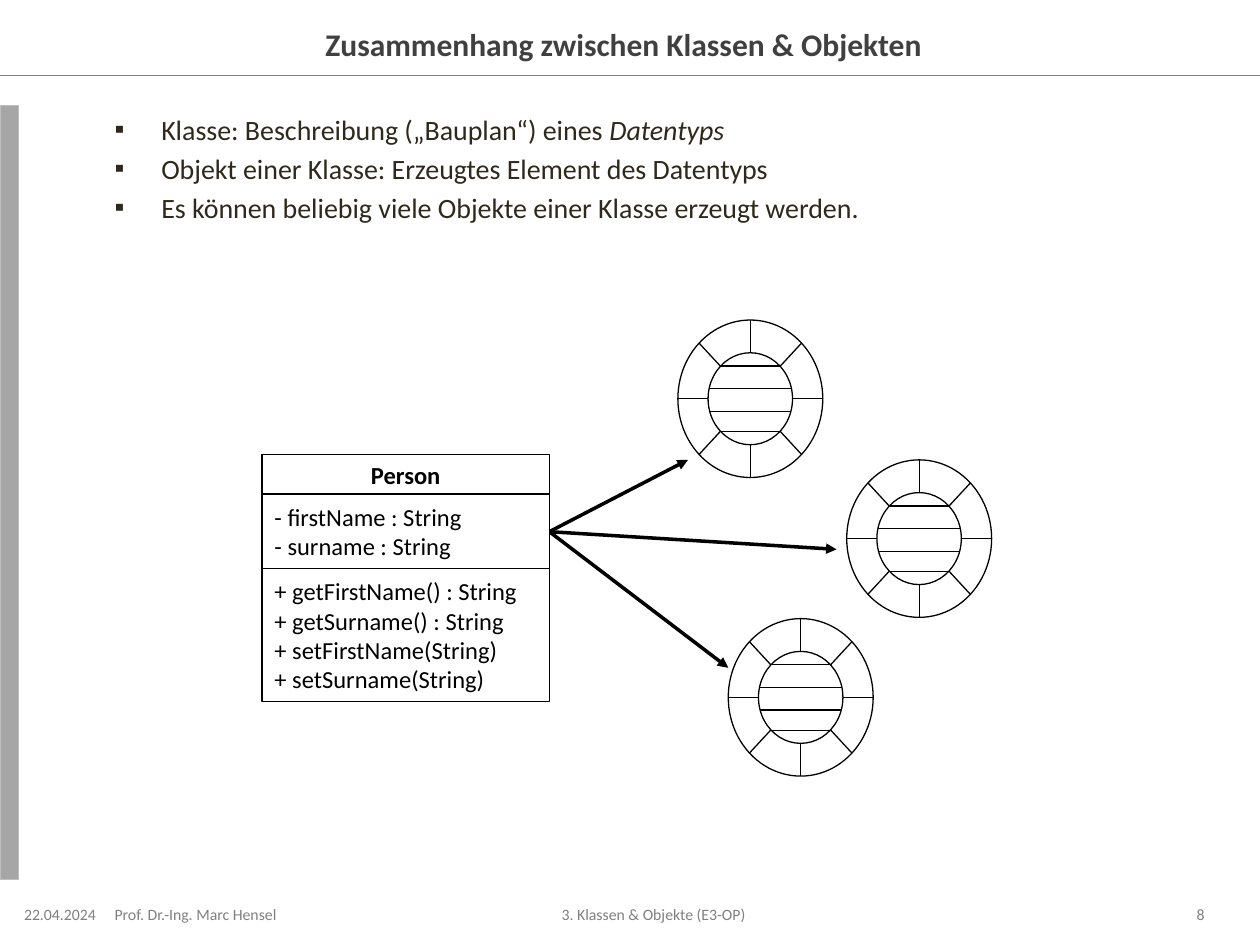
from dataclasses import dataclass
from math import cos, pi, sin, sqrt

from lxml import etree
from pptx import Presentation
from pptx.dml.color import RGBColor
from pptx.enum import shapes as kinds, text as txt
from pptx.oxml.ns import qn
from pptx.util import Inches, Pt

ALIGN = txt.PP_ALIGN
SHAPE = kinds.MSO_SHAPE


@dataclass(frozen=True)
class Theme:
    font: str = "Calibri"
    ink: str = "000000"
    paper: str = "FFFFFF"
    title: str = "404040"
    body: str = "2F291D"
    muted: str = "808080"
    bar: str = "A6A6A6"
    edge: str = "BFBFBF"
    head_pt: int = 18
    body_pt: int = 16
    code_pt: int = 14
    foot_pt: int = 9
    thin: float = 0.75
    bold: float = 2


THEME = Theme()


def rgb(code):
    return RGBColor.from_string(code)


def place(item, box):
    item.left, item.top, item.width, item.height = map(Inches, box)


def style(para, size, color, bold=False, align=ALIGN.LEFT):
    para.alignment = align
    font = para.font
    font.name, font.size, font.bold = THEME.font, Pt(size), bold
    font.color.rgb = rgb(color)


def setup(frame, left=0, right=0.1, anchor=txt.MSO_ANCHOR.MIDDLE):
    frame.word_wrap = True
    frame.auto_size = txt.MSO_AUTO_SIZE.NONE
    frame.vertical_anchor = anchor
    frame.margin_left, frame.margin_right = Inches(left), Inches(right)
    frame.margin_top = frame.margin_bottom = Inches(0.05)


def add_line(parent, start, end, color=THEME.ink, width=THEME.thin, arrow=False):
    line = parent.add_connector(
        kinds.MSO_CONNECTOR.STRAIGHT, *map(Inches, (*start, *end)))
    line.line.color.rgb = rgb(color)
    line.line.width = Pt(width)
    if arrow:
        etree.SubElement(line.line._get_or_add_ln(), qn("a:tailEnd"), type="triangle")
    etree.SubElement(line._element.spPr, qn("a:effectLst"))


def add_form(parent, kind, box, fill=None, edge=THEME.ink):
    form = parent.add_shape(kind, *map(Inches, box))
    form.shadow.inherit = False
    if fill:
        form.fill.solid()
        form.fill.fore_color.rgb = rgb(fill)
    else:
        form.fill.background()
    form.line.color.rgb = rgb(edge)
    form.line.width = Pt(THEME.thin)
    return form


def add_frame(parent):
    add_line(parent, (0, 0.6), (10, 0.6), THEME.muted)
    add_form(parent, SHAPE.RECTANGLE, (0, 0.84, 0.15, 6.14), THEME.bar, THEME.edge)


def add_title(item, box, words):
    place(item, box)
    setup(item.text_frame)
    item.text_frame.text = words
    style(item.text_frame.paragraphs[0], THEME.head_pt, THEME.title, True, ALIGN.CENTER)


def add_list(item, box, rows):
    place(item, box)
    frame = item.text_frame
    setup(frame, anchor=txt.MSO_ANCHOR.TOP)
    for i, (plain, slant) in enumerate(rows):
        para = frame.add_paragraph() if i else frame.paragraphs[0]
        para.add_run().text = plain
        if slant:
            run = para.add_run()
            run.text, run.font.italic = slant, True
        props = para._p.get_or_add_pPr()
        indent = Inches(0.37)
        props.set("marL", str(indent))
        props.set("indent", str(-indent))
        etree.SubElement(props, qn("a:buFont"), typeface="Wingdings")
        etree.SubElement(props, qn("a:buChar"), char="▪")
        props.find(qn("a:buFont")).set("typeface", "Arial")
        style(para, THEME.body_pt, THEME.body)


def add_foot(parent, top):
    parts = [
        ("22.04.2024", 0.15, 0.75, ALIGN.CENTER, 0, 0.1),
        ("Prof. Dr.-Ing. Marc Hensel", 0.91, 1.5, ALIGN.LEFT, 0, 0.1),
        ("3. Klassen & Objekte (E3-OP)", 2.48, 5.51, ALIGN.CENTER, 0, 0.1),
        ("8", 8.92, 0.64, ALIGN.RIGHT, 0.1, 0),
    ]
    for words, left, width, align, pad_l, pad_r in parts:
        note = parent.add_textbox(*map(Inches, (left, top, width, 0.15)))
        setup(note.text_frame, pad_l, pad_r)
        note.text_frame.text = words
        style(note.text_frame.paragraphs[0], THEME.foot_pt, THEME.muted, align=align)


def add_ring(parent, box):
    group = parent.add_group_shape().shapes
    left, top, width, height = box
    mid_x, mid_y = left + width / 2, top + height / 2
    outer, inner = (width / 2, height / 2), (0.335, 0.365)
    for rx, ry in (outer, inner):
        add_form(group, SHAPE.OVAL, (mid_x - rx, mid_y - ry, 2 * rx, 2 * ry))
    for gap in (-0.26, -0.08, 0.1, 0.26):
        half = inner[0] * sqrt(1 - (gap / inner[1]) ** 2)
        add_line(group, (mid_x - half, mid_y + gap), (mid_x + half, mid_y + gap))
    for turn in range(8):
        angle = turn * pi / 4
        ends = [(mid_x + rx * cos(angle), mid_y + ry * sin(angle))
                for rx, ry in (outer, inner)]
        add_line(group, *ends)


def add_class(parent, box, parts):
    group = parent.add_group_shape().shapes
    left, top, width, _ = box
    for i, (height, rows) in enumerate(parts):
        cell = add_form(group, SHAPE.RECTANGLE, (left, top, width, height), THEME.paper)
        setup(cell.text_frame, 0.1)
        cell.text_frame.text = "\n".join(rows)
        for para in cell.text_frame.paragraphs:
            style(para, THEME.code_pt, THEME.ink, i == 0,
                  ALIGN.LEFT if i else ALIGN.CENTER)
        top += height


def main():
    deck = Presentation()
    deck.slide_width, deck.slide_height = Inches(10), Inches(7.5)
    slide = deck.slides.add_slide(deck.slide_layouts[1])
    items = slide.shapes
    add_frame(items)
    add_title(items.title, (1.24, 0.15, 7.52, 0.39),
              "Zusammenhang zwischen Klassen & Objekten")
    add_list(slide.placeholders[1], (0.91, 0.84, 8.66, 6.14), [
        ("Klasse: Beschreibung („Bauplan“) eines ", "Datentyps"),
        ("Objekt einer Klasse: Erzeugtes Element des Datentyps", ""),
        ("Es können beliebig viele Objekte einer Klasse erzeugt werden.", ""),
    ])
    add_foot(items, 7.18)
    for spot, tip in (
        ((5.38, 2.54), (5.46, 3.65)),
        ((6.72, 3.65), (6.64, 4.36)),
        ((5.78, 4.91), (5.78, 5.3)),
    ):
        add_ring(items, (*spot, 1.15, 1.25))
        add_line(items, (4.36, 4.22), tip, width=THEME.bold, arrow=True)
    add_class(items, (2.08, 3.61, 2.28, 1.96), [
        (0.31, ["Person"]),
        (0.59, ["- firstName : String", "- surname : String"]),
        (1.06, ["+ getFirstName() : String", "+ getSurname() : String",
                "+ setFirstName(String)", "+ setSurname(String)"]),
    ])
    deck.save("out.pptx")


if __name__ == "__main__":
    main()
